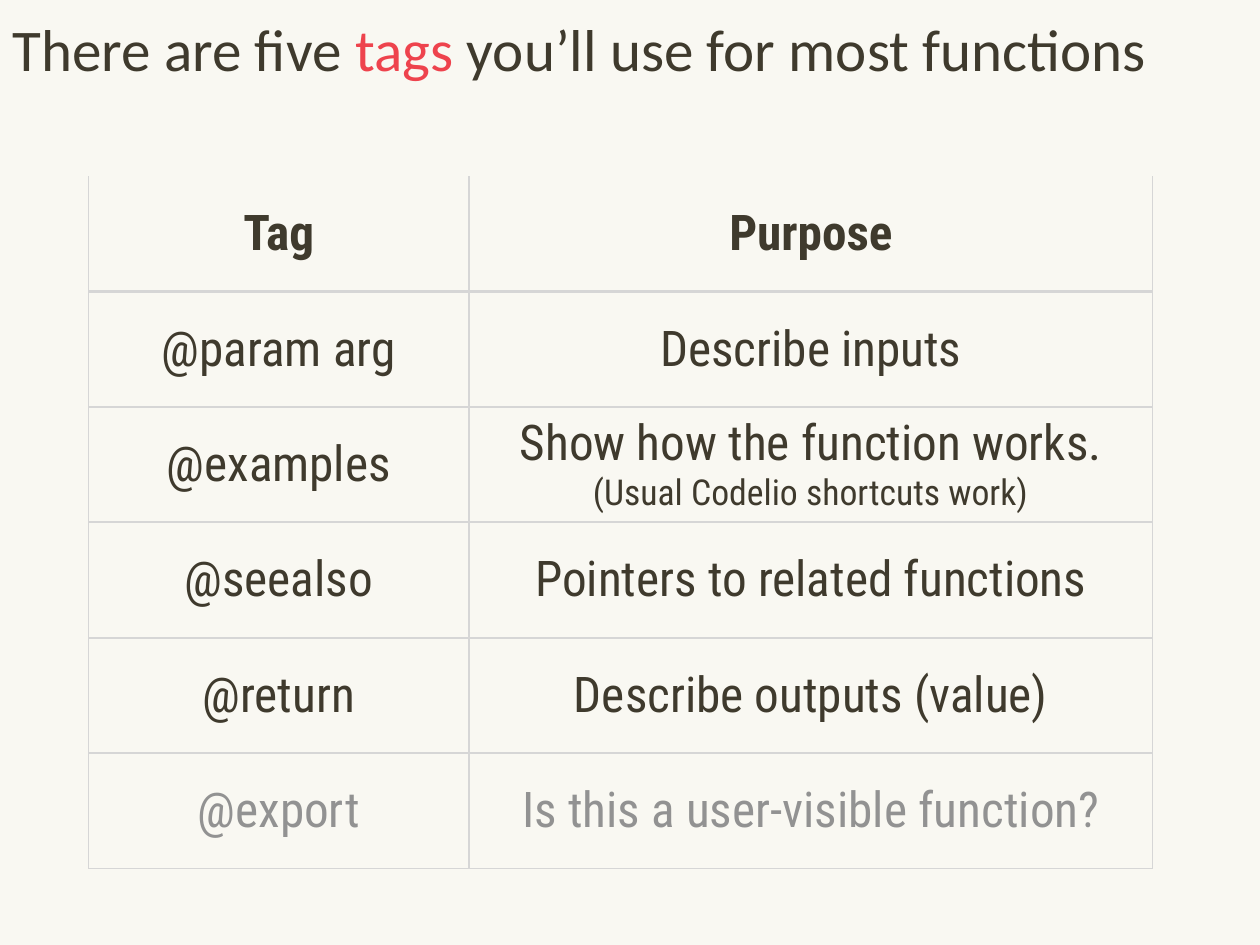
from dataclasses import dataclass

from lxml.etree import SubElement
from pptx import Presentation
from pptx.dml.color import RGBColor
from pptx.enum.text import MSO_ANCHOR, PP_ALIGN
from pptx.oxml.ns import qn
from pptx.slide import Slide
from pptx.table import _Cell
from pptx.text.text import _Paragraph
from pptx.util import Cm, Pt

COLORS = {
    "paper": "F9F8F2",
    "ink": "3F3A2D",
    "accent": "EE434D",
    "muted": "929292",
    "rule": "D6D6D6",
}
TITLE_FONT = "Calibri"
TABLE_FONT = "Roboto Condensed"
COLUMN_WIDTHS = (Cm(10.9), Cm(19.61))
ROW_HEIGHT = Cm(3.31)
INNER_RULE = 2
OUTER_RULE = 1


@dataclass(frozen=True)
class TagRow:
    tag: str
    purpose: str
    remark: str = ""
    color: str = "ink"
    bold: bool = False


TAG_ROWS = (
    TagRow("Tag", "Purpose", bold=True),
    TagRow("@param arg", "Describe inputs"),
    TagRow("@examples", "Show how the function works.", "(Usual Codelio shortcuts work)"),
    TagRow("@seealso", "Pointers to related functions"),
    TagRow("@return", "Describe outputs (value)"),
    TagRow("@export", "Is this a user-visible function?", color="muted"),
)


def rgb(name: str) -> RGBColor:
    return RGBColor.from_string(COLORS[name])


def add_run(paragraph: _Paragraph, text: str, font: str, size: float,
            color: str, bold: bool = False) -> None:
    run = paragraph.add_run()
    run.text = text
    run.font.name = font
    run.font.size = Pt(size)
    run.font.bold = bold
    run.font.color.rgb = rgb(color)


def set_borders(cell: _Cell, widths: dict[str, float]) -> None:
    """Draw each side (L, R, T, B) at its width in points; zero means no line."""
    properties = cell._tc.get_or_add_tcPr()
    for index, (side, width) in enumerate(widths.items()):
        line = SubElement(properties, qn(f"a:ln{side}"), w=str(Pt(width)))
        if width:
            solid = SubElement(line, qn("a:solidFill"))
            SubElement(solid, qn("a:srgbClr"), val=COLORS["rule"])
        else:
            SubElement(line, qn("a:noFill"))
        properties.insert(index, line)


def add_title(slide: Slide, width: int) -> None:
    frame = slide.shapes.add_textbox(0, 0, width, Cm(2.74)).text_frame
    frame.word_wrap = True
    frame.vertical_anchor = MSO_ANCHOR.MIDDLE
    frame.margin_left = frame.margin_right = Cm(0.36)
    frame.margin_top = frame.margin_bottom = Cm(0.36)
    heading = frame.paragraphs[0]
    heading.space_before = Pt(6)
    for text, color in (("There are five ", "ink"), ("tags", "accent"),
                        (" you’ll use for most functions", "ink")):
        add_run(heading, text, TITLE_FONT, 48, color)


def fill_cell(cell: _Cell, text: str, remark: str, row: TagRow) -> None:
    cell.fill.solid()
    cell.fill.fore_color.rgb = rgb("paper")
    cell.vertical_anchor = MSO_ANCHOR.MIDDLE
    cell.margin_left = cell.margin_right = Cm(0.1)
    cell.margin_top = cell.margin_bottom = Cm(0.1)
    paragraph = cell.text_frame.paragraphs[0]
    paragraph.alignment = PP_ALIGN.CENTER
    paragraph.space_before = Pt(24)
    add_run(paragraph, text, TABLE_FONT, 40, row.color, row.bold)
    if remark:
        paragraph.add_line_break()
        add_run(paragraph, remark, TABLE_FONT, 29, row.color, row.bold)


def add_tag_table(slide: Slide) -> None:
    last_row, last_column = len(TAG_ROWS) - 1, len(COLUMN_WIDTHS) - 1
    table = slide.shapes.add_table(
        len(TAG_ROWS), len(COLUMN_WIDTHS), Cm(2.54), Cm(5.05),
        sum(COLUMN_WIDTHS), ROW_HEIGHT * len(TAG_ROWS)).table
    table.first_row = table.horz_banding = False
    for column, width in zip(table.columns, COLUMN_WIDTHS):
        column.width = width
    for r, row in enumerate(TAG_ROWS):
        table.rows[r].height = ROW_HEIGHT
        for c, (text, remark) in enumerate(((row.tag, ""), (row.purpose, row.remark))):
            cell = table.cell(r, c)
            fill_cell(cell, text, remark, row)
            set_borders(cell, {
                "L": INNER_RULE if c else OUTER_RULE,
                "R": INNER_RULE if c < last_column else OUTER_RULE,
                "T": INNER_RULE if r else 0,
                "B": INNER_RULE if r < last_row else OUTER_RULE,
            })


def main() -> None:
    presentation = Presentation()
    presentation.slide_width = Cm(36.12)
    presentation.slide_height = Cm(27.1)
    slide = presentation.slides.add_slide(presentation.slide_layouts[6])
    slide.background.fill.solid()
    slide.background.fill.fore_color.rgb = rgb("paper")
    add_title(slide, presentation.slide_width)
    add_tag_table(slide)
    presentation.save("out.pptx")


if __name__ == "__main__":
    main()
